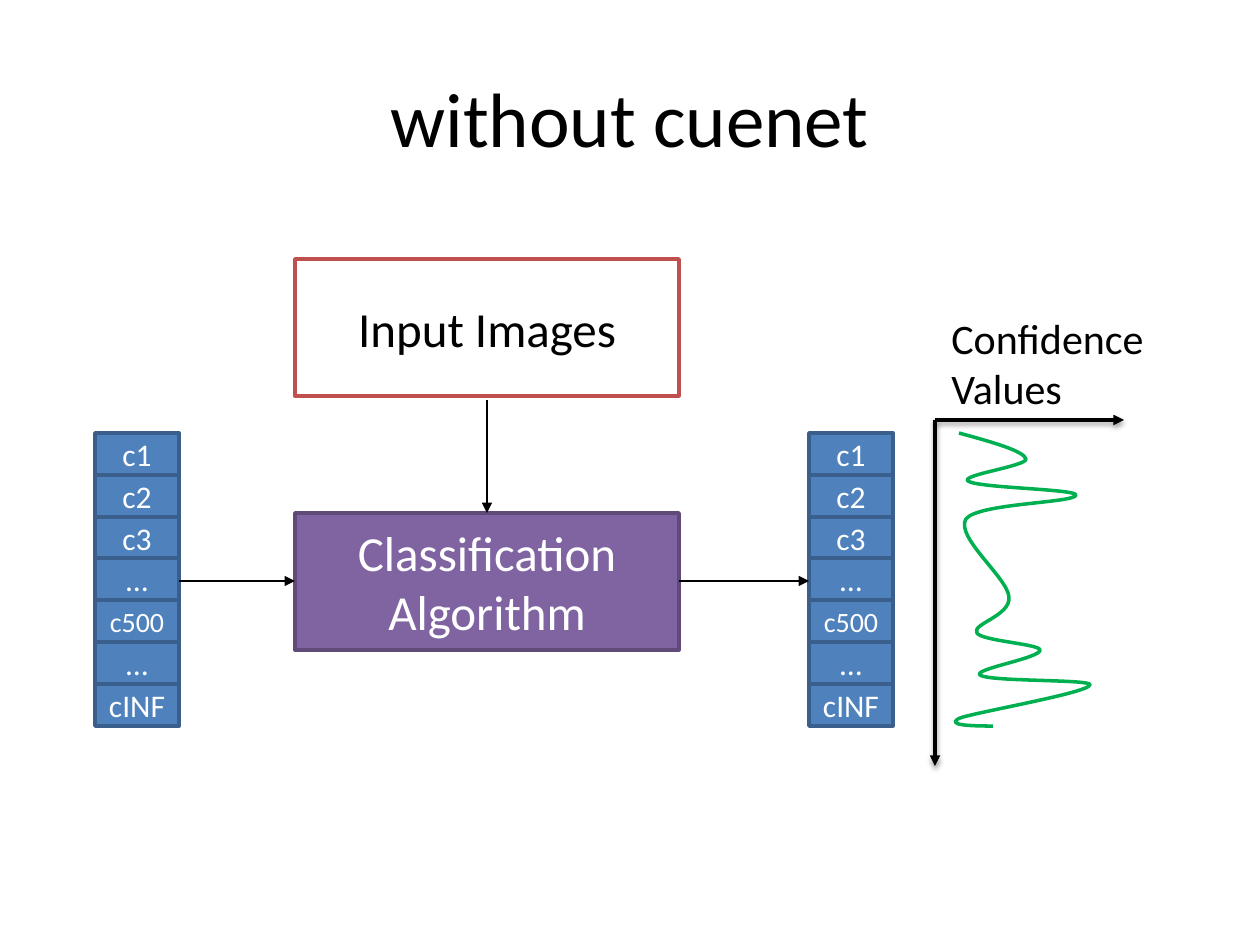
from dataclasses import dataclass

from lxml import etree
from pptx import Presentation
from pptx.dml.color import RGBColor
from pptx.enum.shapes import MSO_CONNECTOR, MSO_SHAPE
from pptx.enum.text import MSO_ANCHOR, PP_ALIGN
from pptx.oxml.ns import qn
from pptx.util import Pt

EMU_PER_PIXEL = 914400 / 126


def px(length):
    return round(length * EMU_PER_PIXEL)


@dataclass(frozen=True)
class Theme:
    font: str = "Calibri"
    black: str = "000000"
    white: str = "FFFFFF"
    cell: str = "4F81BD"
    cell_edge: str = "3A5F8C"
    algorithm: str = "8064A2"
    algorithm_edge: str = "5F4A78"
    input_edge: str = "C0504D"
    curve: str = "00B050"
    title_size: int = 44
    box_size: int = 28
    label_size: int = 24
    cell_size: int = 18
    small_cell_size: int = 16
    thin: float = 1.5
    thick: float = 2


class Canvas:
    def __init__(self, slide, theme):
        self.slide = slide
        self.theme = theme

    def fill_text(self, frame, text, size, color, align):
        frame.vertical_anchor = MSO_ANCHOR.MIDDLE
        paragraph = frame.paragraphs[0]
        paragraph.text = text
        paragraph.alignment = align
        for run in paragraph.runs:
            run.font.name = self.theme.font
            run.font.size = Pt(size)
            run.font.color.rgb = RGBColor.from_string(color)

    def stroke(self, shape, color, width):
        shape.line.color.rgb = RGBColor.from_string(color)
        shape.line.width = Pt(width)

    def text(self, area, text, size, align=PP_ALIGN.LEFT, wrap=True):
        box = self.slide.shapes.add_textbox(*map(px, area))
        box.text_frame.word_wrap = wrap
        self.fill_text(box.text_frame, text, size, self.theme.black, align)

    def box(self, area, text, size, fill, edge, color, parent=None):
        shapes = (parent or self.slide).shapes
        box = shapes.add_shape(MSO_SHAPE.RECTANGLE, *map(px, area))
        box.shadow.inherit = False
        box.fill.solid()
        box.fill.fore_color.rgb = RGBColor.from_string(fill)
        self.stroke(box, edge, self.theme.thick)
        self.fill_text(box.text_frame, text, size, color, PP_ALIGN.CENTER)

    def column(self, left, top, labels, pitch):
        theme = self.theme
        group = self.slide.shapes.add_group_shape()
        for row, label in enumerate(labels):
            size = theme.small_cell_size if label == "c500" else theme.cell_size
            self.box((left, round(top + row * pitch), 84, 42), label, size,
                     theme.cell, theme.cell_edge, theme.white, group)

    def arrow(self, start, end, width, shadow=False):
        line = self.slide.shapes.add_connector(
            MSO_CONNECTOR.STRAIGHT, *map(px, (*start, *end)))
        self.stroke(line, self.theme.black, width)
        properties = line._element.spPr
        etree.SubElement(properties.find(qn("a:ln")), qn("a:tailEnd"), type="triangle")
        effects = etree.SubElement(properties, qn("a:effectLst"))
        if shadow:
            outer = etree.SubElement(effects, qn("a:outerShdw"), blurRad=str(int(Pt(3.1))),
                                     dist=str(int(Pt(1.6))), dir="5400000", rotWithShape="0")
            color = etree.SubElement(outer, qn("a:srgbClr"), val=self.theme.black)
            etree.SubElement(color, qn("a:alpha"), val="38000")

    def curve(self, start, points, color, width):
        builder = self.slide.shapes.build_freeform(*start, scale=EMU_PER_PIXEL)
        builder.add_line_segments(points, close=False)
        shape = builder.convert_to_shape()
        shape.shadow.inherit = False
        shape.fill.background()
        self.stroke(shape, color, width)
        path = next(shape._element.iter(qn("a:path")))
        segments = path.findall(qn("a:lnTo"))
        for first in range(0, len(segments), 3):
            bezier = etree.SubElement(path, qn("a:cubicBezTo"))
            for segment in segments[first:first + 3]:
                bezier.append(segment[0])
                path.remove(segment)


presentation = Presentation()
presentation.slide_width, presentation.slide_height = px(1260), px(945)
theme = Theme()
canvas = Canvas(presentation.slides.add_slide(presentation.slide_layouts[6]), theme)

canvas.text((63, 38, 1134, 158), "without cuenet", theme.title_size, PP_ALIGN.CENTER)

CLASSES = ("c1", "c2", "c3", "…", "c500", "…", "cINF")
for column_left in (95, 809):
    canvas.column(column_left, 433, CLASSES, 41.8)

canvas.box((295, 513, 384, 137), "Classification Algorithm", theme.box_size,
           theme.algorithm, theme.algorithm_edge, theme.white)
canvas.box((295, 259, 384, 137), "Input Images", theme.box_size,
           theme.white, theme.input_edge, theme.black)
for start, end in (((179, 581), (295, 581)),
                   ((487, 400), (487, 513)),
                   ((679, 581), (809, 581))):
    canvas.arrow(start, end, theme.thin)

CONFIDENCE = (
    (992, 442), (1024, 451), (1026, 459),
    (1027, 466), (960, 475), (968, 481),
    (977, 488), (1076, 489), (1076, 495),
    (1076, 503), (978, 503), (966, 519),
    (955, 537), (1008, 578), (1009, 597),
    (1011, 616), (971, 624), (977, 633),
    (982, 641), (1040, 644), (1040, 650),
    (1041, 658), (973, 669), (980, 675),
    (989, 682), (1094, 679), (1090, 685),
    (1087, 693), (977, 712), (960, 718),
    (945, 725), (969, 726), (993, 726),
)
canvas.curve((959, 433), CONFIDENCE, theme.curve, theme.thick)
for axis_end in ((935, 766), (1124, 420)):
    canvas.arrow((935, 420), axis_end, theme.thick, shadow=True)
canvas.text((939, 305, 229, 115), "Confidence \vValues", theme.label_size, wrap=False)

presentation.save("out.pptx")
